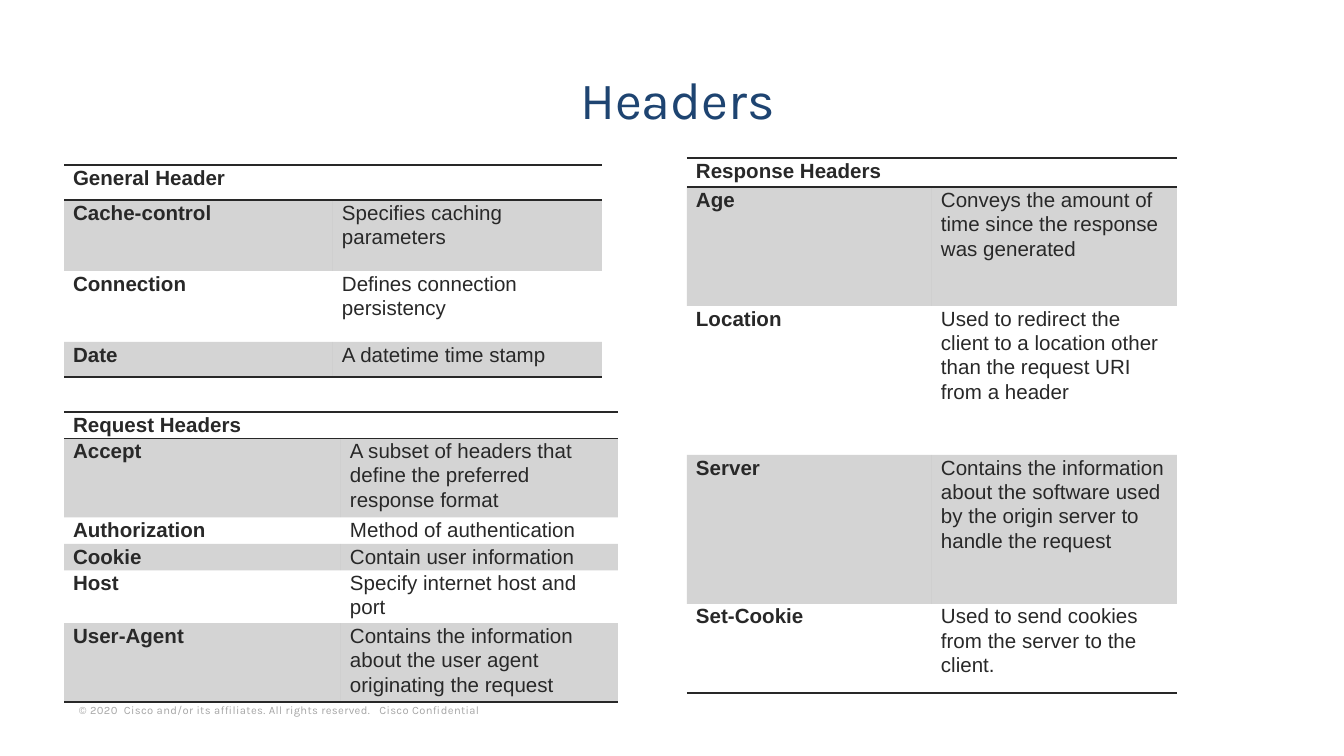
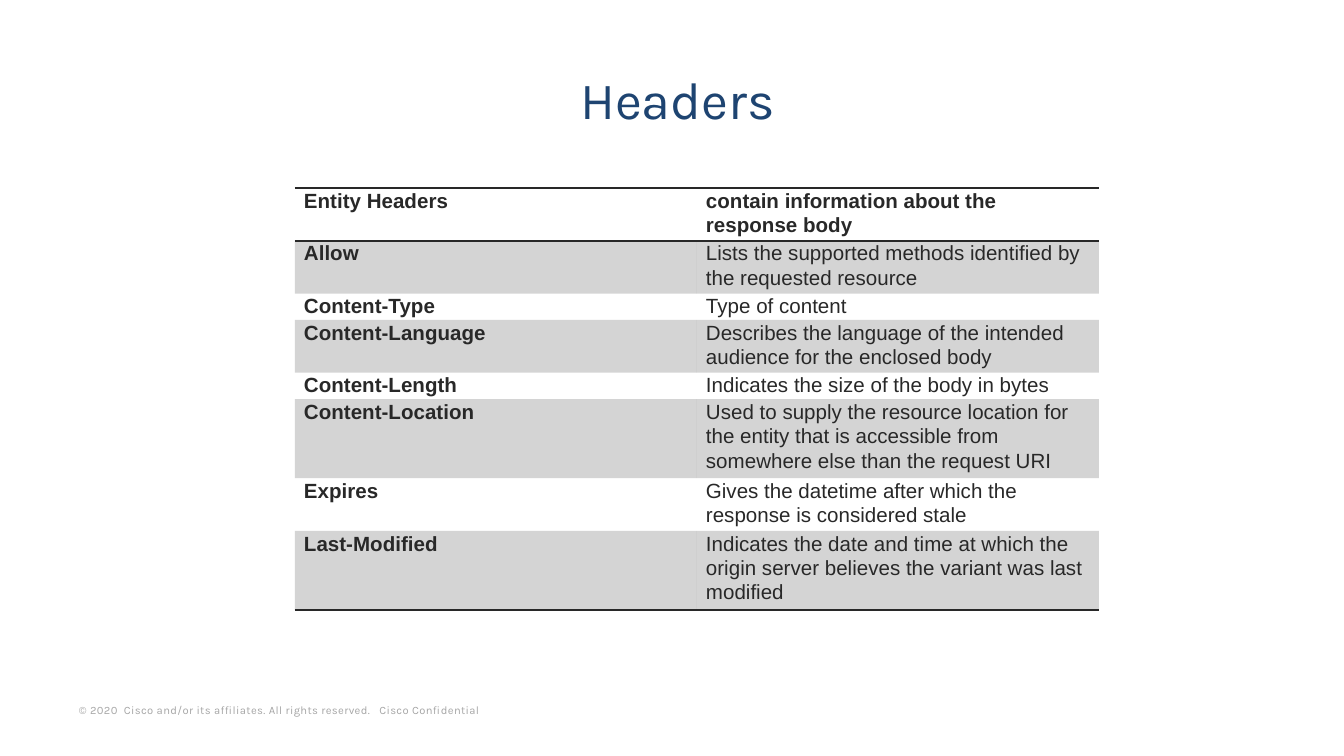
from lxml import etree
from pptx import Presentation
from pptx.dml.color import RGBColor
from pptx.enum.text import MSO_ANCHOR, PP_ALIGN
from pptx.oxml.ns import qn

CENTER, LEFT = PP_ALIGN.CENTER, PP_ALIGN.LEFT
MIDDLE, BOTTOM = MSO_ANCHOR.MIDDLE, MSO_ANCHOR.BOTTOM
EMU_PER_PX = 914400 / 134.4
EMU_PER_PT = 12700
NO_TABLE_STYLE = "{2D5ABB26-0587-4C30-8999-92F81FD0307C}"

THEME = {
    "ink": "282828",
    "band_alpha": 20000,
    "rule": EMU_PER_PT,
    "title": {"name": "Karla", "size": 28 * EMU_PER_PT, "color": "1E4471"},
    "footer": {"name": "Karla", "size": 6 * EMU_PER_PT, "color": "A6A6A6"},
    "cell": {"name": "Arial", "size": 11 * EMU_PER_PT, "color": "282828"},
}
FOOTER = "© 2020  Cisco and/or its affiliates. All rights reserved.   Cisco Confidential"

# Each table: left, top, column width, then rows of (height, name, meaning)
SLIDES = [
    [
        (64, 165, 269, [
            (35, "General Header", ""),
            (71, "Cache-control", "Specifies caching parameters"),
            (71, "Connection", "Defines connection persistency"),
            (35, "Date", "A datetime time stamp"),
        ]),
        (64, 412, 277, [
            (24, "Request Headers", ""),
            (73, "Accept", "A subset of headers that define the preferred response format"),
            (24, "Authorization", "Method of authentication"),
            (24, "Cookie", "Contain user information"),
            (49, "Host", "Specify internet host and port"),
            (73, "User-Agent", "Contains the information about the user agent originating the request"),
        ]),
        (687, 158, 245, [
            (29, "Response Headers", ""),
            (119, "Age", "Conveys the amount of time since the response was generated"),
            (149, "Location", "Used to redirect the client to a location other than the request URI from a header"),
            (149, "Server", "Contains the information about the software used by the origin server to handle the request"),
            (89, "Set-Cookie", "Used to send cookies from the server to the client."),
        ]),
    ],
    [
        (295, 188, 402, [
            (49, "Entity Headers", "contain information about the response body"),
            (49, "Allow", "Lists the supported methods identified by the requested resource"),
            (24, "Content-Type", "Type of content"),
            (49, "Content-Language", "Describes the language of the intended audience for the enclosed body"),
            (24, "Content-Length", "Indicates the size of the body in bytes"),
            (73, "Content-Location", "Used to supply the resource location for the entity that is accessible "
                                     "from somewhere else than the request URI"),
            (49, "Expires", "Gives the datetime after which the response is considered stale"),
            (73, "Last-Modified", "Indicates the date and time at which the origin server believes "
                                  "the variant was last modified"),
        ]),
    ],
]


def px(n):
    return round(n * EMU_PER_PX)


def write(p, text, style, bold=False, **paragraph_format):
    """Put one styled run in a paragraph and return the run."""
    for key, value in paragraph_format.items():
        setattr(p, key, value)
    r = p.add_run()
    r.text = text
    for key, value in {"name": style["name"], "size": style["size"], "bold": bold}.items():
        setattr(r.font, key, value)
    r.font.color.rgb = RGBColor.from_string(style["color"])
    return r


prs = Presentation()
prs.slide_width, prs.slide_height = px(1344), px(756)

for tables in SLIDES:
    s = prs.slides.add_slide(prs.slide_layouts[6])

    for text, style, box, (inset_x, inset_y), anchor, align, spacing, tracking in (
        (FOOTER, THEME["footer"], (70, 698, 500, 23), (9, 4), BOTTOM, LEFT, 1.0, 20),
        ("Headers", THEME["title"], (64, 50, 1227, 108), (13, 7), MIDDLE, CENTER, 0.8, 0),
    ):
        tf = s.shapes.add_textbox(*map(px, box)).text_frame
        frame_format = {
            "word_wrap": True, "vertical_anchor": anchor,
            "margin_left": px(inset_x), "margin_right": px(inset_x),
            "margin_top": px(inset_y), "margin_bottom": px(inset_y),
        }
        for key, value in frame_format.items():
            setattr(tf, key, value)
        r = write(tf.paragraphs[0], text, style, alignment=align, line_spacing=spacing)
        if tracking:
            r.font._element.set("spc", str(tracking))

    for left, top, col_width, rows in tables:
        height = sum(row[0] for row in rows)
        box = (left, top, 2 * col_width, height)
        table = s.shapes.add_table(len(rows), 2, *map(px, box)).table
        table.first_row = table.horz_banding = False
        table._tbl.tblPr.find(qn("a:tableStyleId")).text = NO_TABLE_STYLE

        for i, (row_height, *texts) in enumerate(rows):
            table.rows[i].height = px(row_height)
            edges = {0: ("lnT", "lnB"), len(rows) - 1: ("lnB",)}.get(i, ())
            for j, text in enumerate(texts):
                cell = table.cell(i, j)
                cell_format = {"margin_left": px(9), "margin_right": px(9), "margin_top": 0, "margin_bottom": 0}
                for key, value in cell_format.items():
                    setattr(cell, key, value)

                p = cell.text_frame.paragraphs[0]
                if text:
                    write(p, text, THEME["cell"], bold=i == 0 or j == 0, line_spacing=1.07)
                else:
                    etree.SubElement(p._p, qn("a:endParaRPr"), sz="1100")

                tc_pr = cell._tc.get_or_add_tcPr()
                for edge in edges:
                    ln = etree.SubElement(tc_pr, qn(f"a:{edge}"), w=str(THEME["rule"]))
                    fill = etree.SubElement(ln, qn("a:solidFill"))
                    etree.SubElement(fill, qn("a:srgbClr"), val=THEME["ink"])

                if i % 2:
                    cell.fill.solid()
                    cell.fill.fore_color.rgb = RGBColor.from_string(THEME["ink"])
                    color = tc_pr.find(qn("a:solidFill")).find(qn("a:srgbClr"))
                    etree.SubElement(color, qn("a:alpha"), val=str(THEME["band_alpha"]))
                else:
                    cell.fill.background()

prs.save("out.pptx")
